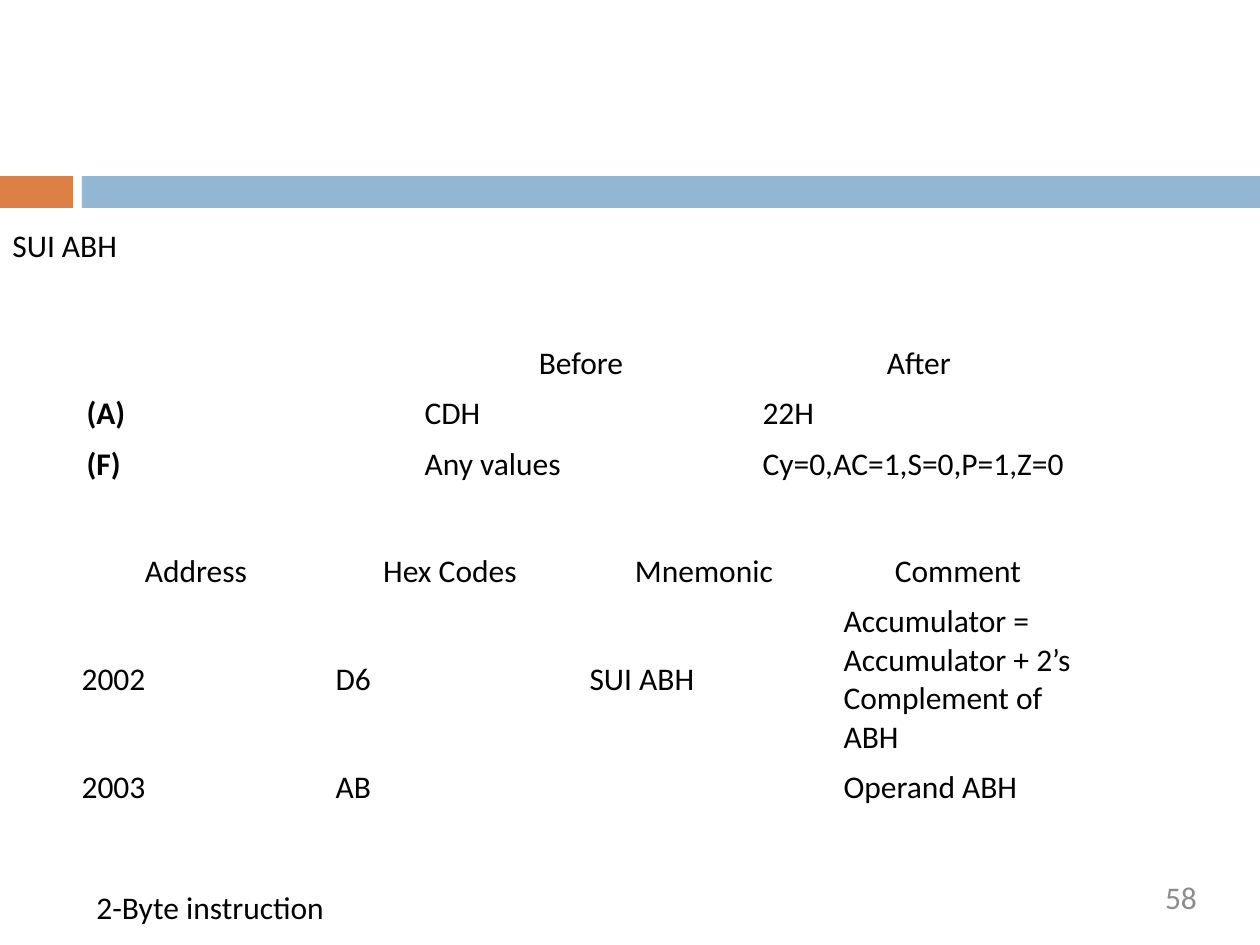
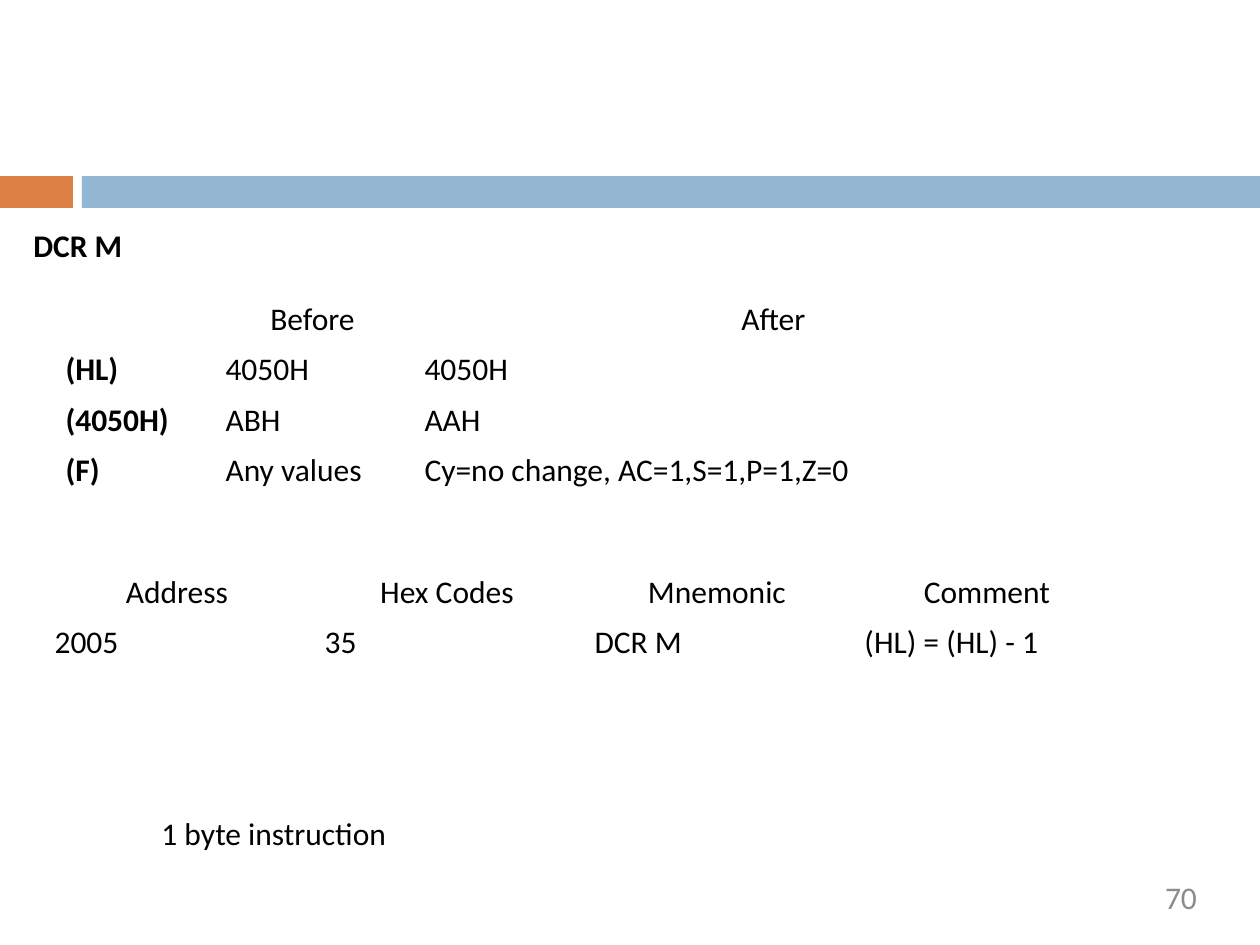
from dataclasses import dataclass

import pptx
import pptx.dml.color
import pptx.enum.shapes
import pptx.enum.text
import pptx.slide
import pptx.text.text
import pptx.util

RGBColor = pptx.dml.color.RGBColor
Align = pptx.enum.text.PP_ALIGN

ORANGE = RGBColor(0xDD, 0x80, 0x46)
BLUE = RGBColor(0x93, 0xB6, 0xD2)
BLACK = RGBColor(0, 0, 0)
GRAY = RGBColor(0x8C, 0x8C, 0x8C)
FONT = "Calibri"
SIZE = 18
PX_PER_INCH = 126
SLIDE_W, SLIDE_H = 1260, 945
LINE_H = 50
BAND_TOP, BAND_H = 176, 32

STATE_HEADER = ("", "Before", "After")
CODE_HEADER = ("Address", "Hex Codes", "Mnemonic", "Comment")


@dataclass(frozen=True)
class Label:
    text: str
    left: int
    top: int
    width: int
    bold: bool = False


@dataclass(frozen=True)
class Grid:
    left: int
    top: int
    cols: tuple[int, ...]
    row_heights: tuple[int, ...]
    rows: tuple[tuple[str, ...], ...]
    bold_first_col: bool = False


@dataclass(frozen=True)
class Instruction:
    number: int
    title: Label
    state: Grid
    code: Grid
    size_note: Label


INSTRUCTIONS = (
    Instruction(
        58,
        Label("SUI ABH", 0, 220, 139),
        Grid(74, 338, (338,) * 3, (LINE_H,) * 3, (
            STATE_HEADER,
            ("(A)", "CDH", "22H"),
            ("(F)", "Any values", "Cy=0,AC=1,S=0,P=1,Z=0"),
        ), bold_first_col=True),
        Grid(69, 546, (254,) * 4, (LINE_H, 166, LINE_H), (
            CODE_HEADER,
            ("2002", "D6", "SUI ABH",
             "Accumulator = Accumulator + 2’s Complement of ABH"),
            ("2003", "AB", "", "Operand ABH"),
        )),
        Label("2-Byte instruction", 84, 882, 263),
    ),
    Instruction(
        70,
        Label("DCR M", 21, 220, 122, bold=True),
        Grid(53, 294, (160, 199, 723), (LINE_H,) * 4, (
            STATE_HEADER,
            ("(HL)", "4050H", "4050H"),
            ("(4050H)", "ABH", "AAH"),
            ("(F)", "Any values", "Cy=no change, AC=1,S=1,P=1,Z=0"),
        ), bold_first_col=True),
        Grid(42, 567, (270,) * 4, (LINE_H,) * 2, (
            CODE_HEADER,
            ("2005", "35", "DCR M", "(HL) = (HL) - 1"),
        )),
        Label("1 byte instruction", 149, 808, 260),
    ),
)


def px(n: int) -> pptx.util.Emu:
    return pptx.util.Emu(round(n * 914400 / PX_PER_INCH))


def write(tf: pptx.text.text.TextFrame, text: str, bold: bool = False,
          color: RGBColor = BLACK, align: Align = Align.LEFT) -> None:
    tf.text = text
    p = tf.paragraphs[0]
    p.alignment = align
    for r in p.runs:
        r.font.name = FONT
        r.font.size = pptx.util.Pt(SIZE)
        r.font.bold = bold
        r.font.color.rgb = color


def add_band(s: pptx.slide.Slide, left: int, width: int, color: RGBColor) -> None:
    sp = s.shapes.add_shape(pptx.enum.shapes.MSO_SHAPE.RECTANGLE,
                            px(left), px(BAND_TOP), px(width), px(BAND_H))
    sp.shadow.inherit = False
    sp.fill.solid()
    sp.fill.fore_color.rgb = color
    sp.line.fill.background()


def add_number(s: pptx.slide.Slide, number: int) -> None:
    tf = s.shapes.add_textbox(px(907), px(878), px(290), px(48)).text_frame
    tf.word_wrap = True
    tf.margin_left = tf.margin_right = tf.margin_top = tf.margin_bottom = 0
    write(tf, str(number), color=GRAY, align=Align.RIGHT)


def add_label(s: pptx.slide.Slide, label: Label) -> None:
    sp = s.shapes.add_textbox(px(label.left), px(label.top),
                              px(label.width), px(LINE_H))
    sp.text_frame.word_wrap = False
    write(sp.text_frame, label.text, label.bold)


def add_grid(s: pptx.slide.Slide, grid: Grid) -> None:
    """Draw a plain table with a centred header row."""
    table = s.shapes.add_table(
        len(grid.rows), len(grid.cols), px(grid.left), px(grid.top),
        px(sum(grid.cols)), px(sum(grid.row_heights))).table
    table.first_row = table.horz_banding = False
    for col, width in zip(table.columns, grid.cols):
        col.width = px(width)
    for row, height in zip(table.rows, grid.row_heights):
        row.height = px(height)
    for i, texts in enumerate(grid.rows):
        for j, text in enumerate(texts):
            cell = table.cell(i, j)
            cell.fill.background()
            cell.vertical_anchor = pptx.enum.text.MSO_ANCHOR.MIDDLE
            write(cell.text_frame, text, bold=grid.bold_first_col and j == 0,
                  align=Align.LEFT if i else Align.CENTER)


def add_instruction(prs: pptx.presentation.Presentation, item: Instruction) -> None:
    s = prs.slides.add_slide(prs.slide_layouts[6])
    add_band(s, 0, 73, ORANGE)
    add_band(s, 82, SLIDE_W - 82, BLUE)
    add_number(s, item.number)
    add_label(s, item.title)
    add_grid(s, item.state)
    add_grid(s, item.code)
    add_label(s, item.size_note)


def main() -> None:
    prs = pptx.Presentation()
    prs.slide_width, prs.slide_height = px(SLIDE_W), px(SLIDE_H)
    for item in INSTRUCTIONS:
        add_instruction(prs, item)
    prs.save("out.pptx")


if __name__ == "__main__":
    main()
